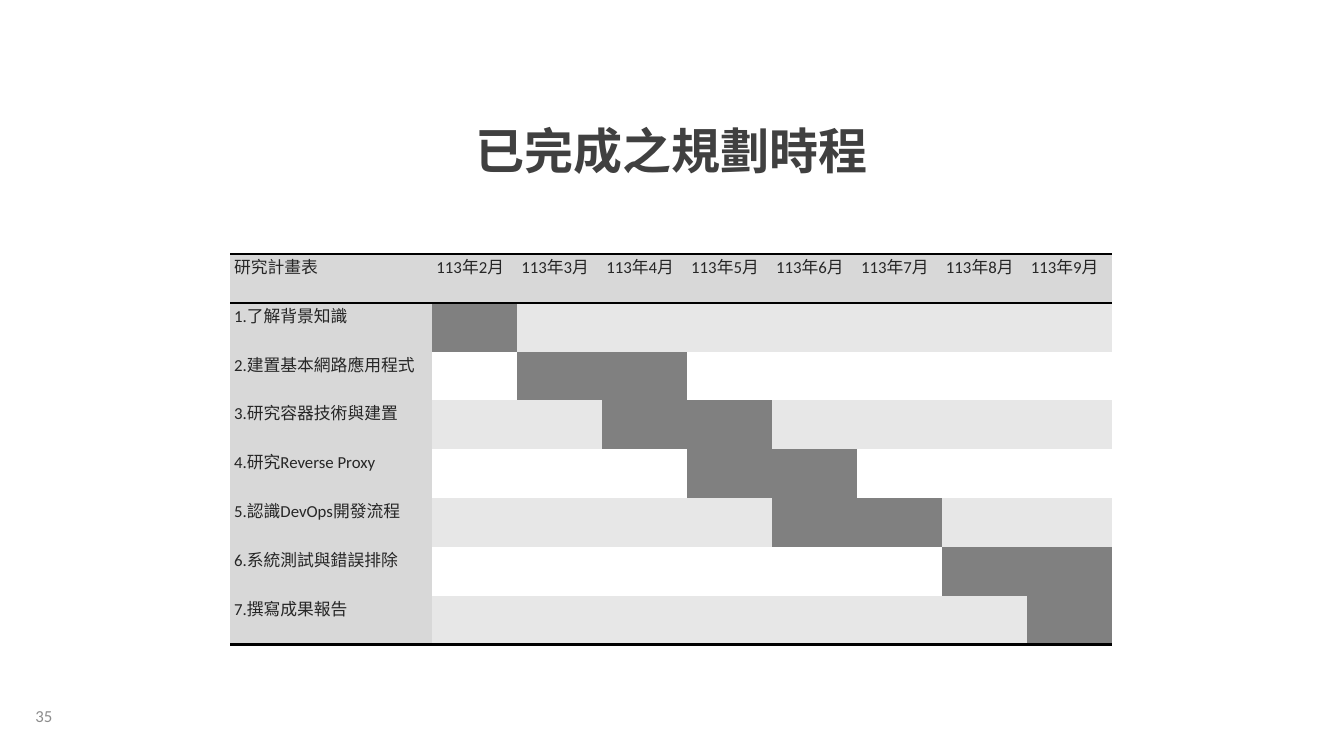
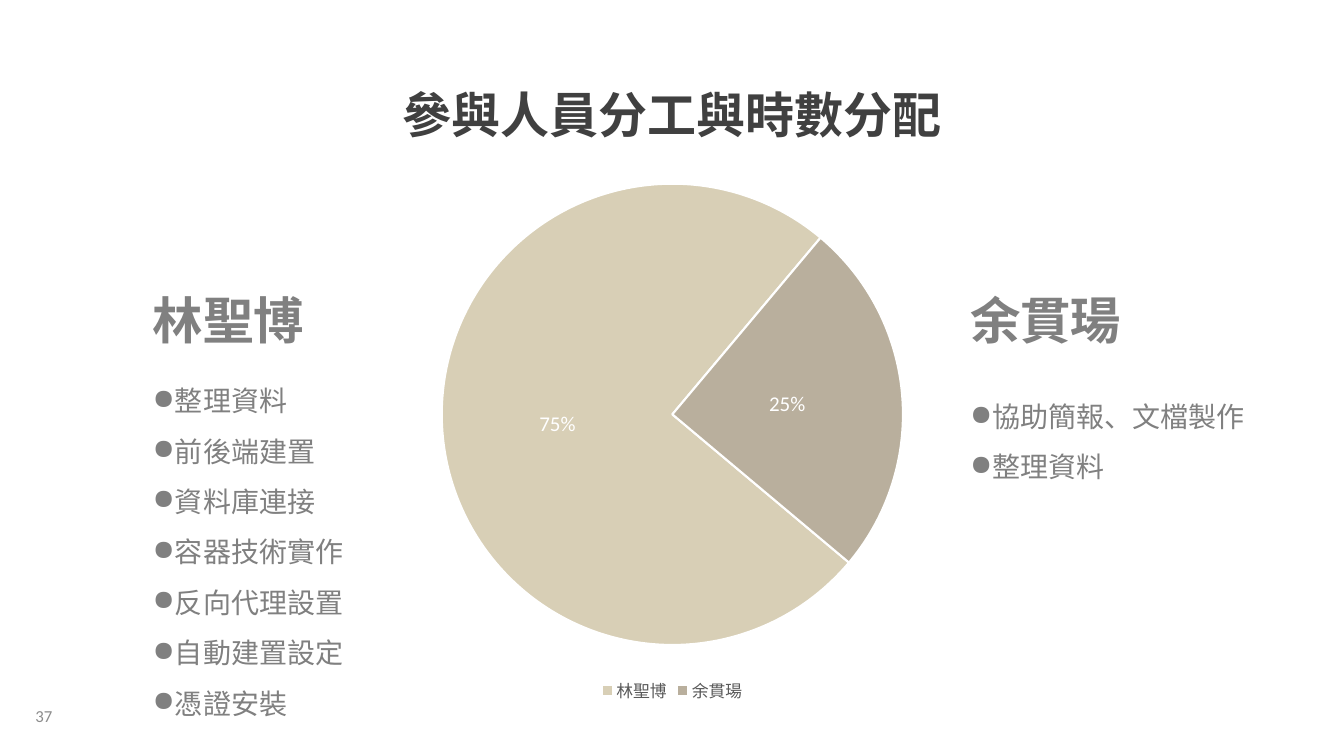
from lxml import etree
from pptx import Presentation
from pptx import util as u
from pptx.chart.data import CategoryChartData
from pptx.dml.color import RGBColor
from pptx.enum import chart as charts, text
from pptx.oxml import ns

COLORS = {
    "title": "404040", "body": "808080", "number": "8C8C8C", "cell": "262626",
    "header": "D8D8D8", "band": "E7E7E7", "plain": "FFFFFF", "bar": "808080",
    "rule": "000000", "legend": "595959", "label": "FFFFFF", "gap": "FFFFFF",
}
ASIAN_FONT = "Noto Sans CJK SC"
SLIDE_WIDTH, SLIDE_HEIGHT = 33.87, 19.05
NO_TABLE_STYLE = "{2D5ABB26-0587-4C30-8999-92F81FD0307C}"

FORMATS = {
    "title": {"name": ASIAN_FONT, "size": u.Pt(35), "bold": True},
    "person": {"name": "Montserrat", "size": u.Pt(36), "bold": True},
    "task": {"name": "Montserrat", "size": u.Pt(20), "bold": False},
    "number": {"name": "Calibri", "size": u.Pt(12), "bold": False},
    "cell": {"name": "Calibri", "size": u.Pt(12), "bold": False},
    "legend": {"name": "Calibri", "size": u.Pt(12)},
    "label": {"name": "Calibri", "size": u.Pt(15)},
}

SCHEDULE = {
    "title": "已完成之規劃時程",
    "title_top": 2.92,
    "number": "35",
    "heading": "研究計畫表",
    "months": list(range(2, 10)),
    # task, first month, last month
    "tasks": [
        ("1.了解背景知識", 2, 2),
        ("2.建置基本網路應用程式", 3, 4),
        ("3.研究容器技術與建置", 4, 5),
        ("4.研究Reverse Proxy", 5, 6),
        ("5.認識DevOps開發流程", 6, 7),
        ("6.系統測試與錯誤排除", 8, 9),
        ("7.撰寫成果報告", 9, 9),
    ],
}
WORKLOAD = {
    "title": "參與人員分工與時數分配",
    "title_top": 2.0,
    "number": "37",
    "people": [
        {"name": "林聖博", "share": 75, "color": "D8CFB6", "left": 3.6, "width": 6.08,
         "tasks_top": 9.12, "tasks": ["整理資料", "前後端建置", "資料庫連接", "容器技術實作",
                                      "反向代理設置", "自動建置設定", "憑證安裝"]},
        {"name": "余貫瑒", "share": 25, "color": "B9AF9D", "left": 24.2, "width": 7.77,
         "tasks_top": 9.52, "tasks": ["協助簡報、文檔製作", "整理資料"]},
    ],
}


def rgb(color):
    return RGBColor.from_string(color)


def add_element(parent, tag, **attributes):
    return etree.SubElement(parent, ns.qn(tag), attributes)


def apply_format(font, style):
    for attribute, value in FORMATS[style].items():
        setattr(font, attribute, value)
    font.color.rgb = rgb(COLORS.get(style, COLORS["body"]))


def add_run(paragraph, words, style):
    run = paragraph.add_run()
    run.text = words
    apply_format(run.font, style)
    add_element(run.font._element, "a:ea", typeface=ASIAN_FONT)


def add_text(slide, box, lines, style, align=text.PP_ALIGN.LEFT,
             anchor=text.MSO_ANCHOR.TOP, bullet=None):
    frame = slide.shapes.add_textbox(*map(u.Cm, box)).text_frame
    frame.word_wrap = True
    frame.vertical_anchor = anchor
    for index, line in enumerate(lines):
        paragraph = frame.add_paragraph() if index else frame.paragraphs[0]
        paragraph.alignment = align
        if bullet:
            properties = paragraph._p.get_or_add_pPr()
            indent = u.Cm(0.48)
            properties.set("marL", str(indent))
            properties.set("indent", str(-indent))
            add_element(properties, "a:buChar", char=bullet)
            paragraph.line_spacing = 1.5
        add_run(paragraph, line, style)


def add_slide(presentation, content):
    """Add a blank slide with the shared title and page number."""
    slide = presentation.slides.add_slide(presentation.slide_layouts[6])
    add_text(slide, (0, content["title_top"], SLIDE_WIDTH, 1.75), [content["title"]],
             "title", text.PP_ALIGN.CENTER)
    add_text(slide, (0, 17.53, 1.57, 1.02), [content["number"]], "number",
             text.PP_ALIGN.RIGHT, text.MSO_ANCHOR.MIDDLE)
    return slide


def format_cell(cell, words, fill, sides):
    cell.margin_left = cell.margin_right = u.Cm(0.1)
    cell.margin_top = cell.margin_bottom = 0
    properties = cell._tc.get_or_add_tcPr()
    for side in sides:
        line = add_element(properties, f"a:ln{side}", w=str(u.Pt(2)))
        add_element(add_element(line, "a:solidFill"), "a:srgbClr", val=COLORS["rule"])
    cell.fill.solid()
    cell.fill.fore_color.rgb = rgb(COLORS[fill])
    if words:
        add_run(cell.text_frame.paragraphs[0], words, "cell")


def build_schedule(presentation):
    slide = add_slide(presentation, SCHEDULE)
    months, tasks = SCHEDULE["months"], SCHEDULE["tasks"]
    label_width, month_width, row_height = 5.1, 2.14, 1.23
    rows, columns = len(tasks) + 1, len(months) + 1
    table = slide.shapes.add_table(
        rows, columns, u.Cm(5.8), u.Cm(6.4),
        u.Cm(label_width + month_width * len(months)), u.Cm(row_height * rows)).table
    table.first_row = table.horz_banding = False
    table._tbl.tblPr.find(ns.qn("a:tableStyleId")).text = NO_TABLE_STYLE
    for index, column in enumerate(table.columns):
        column.width = u.Cm(month_width if index else label_width)
    for row in table.rows:
        row.height = u.Cm(row_height)

    headings = [SCHEDULE["heading"]] + [f"113年{month}月" for month in months]
    for index, heading in enumerate(headings):
        format_cell(table.cell(0, index), heading, "header", "TB")
    for row, (task, first, last) in enumerate(tasks, 1):
        sides = "B" if row == len(tasks) else ""
        format_cell(table.cell(row, 0), task, "header", sides)
        background = "band" if row % 2 else "plain"
        for column, month in enumerate(months, 1):
            fill = "bar" if first <= month <= last else background
            format_cell(table.cell(row, column), "", fill, sides)


def set_plot_area(chart, **fractions):
    """Fix the inner plot area as fractions of the chart."""
    plot_area = chart._chartSpace.chart.plotArea
    for old in plot_area.findall(ns.qn("c:layout")):
        plot_area.remove(old)
    layout = etree.Element(ns.qn("c:layout"))
    plot_area.insert(0, layout)
    manual = add_element(layout, "c:manualLayout")
    settings = {"layoutTarget": "inner", "xMode": "edge", "yMode": "edge", **fractions}
    for tag, value in settings.items():
        add_element(manual, f"c:{tag}", val=str(value))


def add_pie(slide, people):
    data = CategoryChartData()
    data.categories = [person["name"] for person in people]
    data.add_series("Series 1", [person["share"] for person in people])
    chart = slide.shapes.add_chart(
        charts.XL_CHART_TYPE.PIE, u.Cm(9.68), u.Cm(4.04), u.Cm(14.53), u.Cm(13.77),
        data).chart
    chart.has_title = False
    chart.font.name, chart.font.size = "Calibri", u.Pt(10)
    chart.has_legend = True
    chart.legend.position = charts.XL_LEGEND_POSITION.BOTTOM
    chart.legend.include_in_layout = False
    apply_format(chart.legend.font, "legend")
    set_plot_area(chart, x=0.1, y=0.04, w=0.8, h=0.85)

    plot = chart.plots[0]
    plot.vary_by_categories = True
    for index, person in enumerate(people):
        point = plot.series[0].points[index].format
        point.fill.solid()
        point.fill.fore_color.rgb = rgb(person["color"])
        point.line.color.rgb = rgb(COLORS["gap"])
        point.line.width = u.Pt(1.5)
    plot.has_data_labels = True
    labels = plot.data_labels
    labels.show_percentage, labels.show_value = True, False
    labels.number_format, labels.number_format_is_linked = "0%", False
    labels.position = charts.XL_LABEL_POSITION.CENTER
    apply_format(labels.font, "label")
    first_angle = plot._element.find(ns.qn("c:firstSliceAng"))
    if first_angle is None:
        first_angle = add_element(plot._element, "c:firstSliceAng")
    first_angle.set("val", "130")


def build_workload(presentation):
    slide = add_slide(presentation, WORKLOAD)
    add_pie(slide, WORKLOAD["people"])
    for person in WORKLOAD["people"]:
        left, width, tasks = person["left"], person["width"], person["tasks"]
        add_text(slide, (left, 7.16, width, 1.8), [person["name"]], "person")
        add_text(slide, (left, person["tasks_top"], width, 1.3 * len(tasks)), tasks,
                 "task", bullet="●")


def main():
    presentation = Presentation()
    presentation.slide_width = u.Cm(SLIDE_WIDTH)
    presentation.slide_height = u.Cm(SLIDE_HEIGHT)
    build_schedule(presentation)
    build_workload(presentation)
    presentation.save("out.pptx")


if __name__ == "__main__":
    main()
